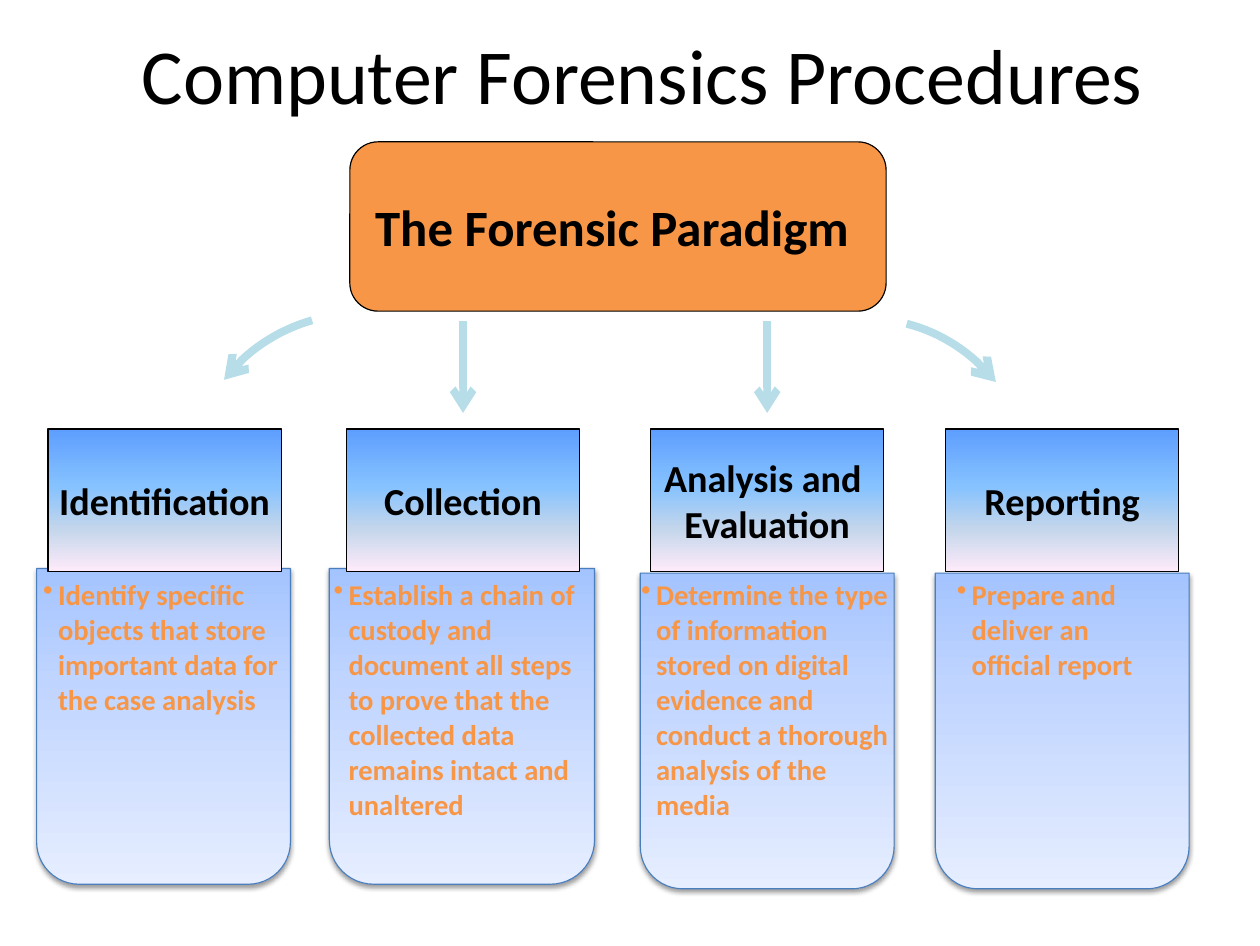
from dataclasses import dataclass

from lxml import etree
from pptx import Presentation
from pptx.dml.color import RGBColor
from pptx.enum.shapes import MSO_CONNECTOR, MSO_SHAPE
from pptx.enum.text import MSO_ANCHOR, MSO_AUTO_SIZE, PP_ALIGN
from pptx.oxml.ns import qn
from pptx.util import Inches, Pt

CENTER, LEFT = PP_ALIGN.CENTER, PP_ALIGN.LEFT
MIDDLE, TOP = MSO_ANCHOR.MIDDLE, MSO_ANCHOR.TOP
RECTANGLE = MSO_SHAPE.RECTANGLE
ROUNDED = MSO_SHAPE.ROUNDED_RECTANGLE
ROUNDED_SAME_SIDE = MSO_SHAPE.ROUND_2_SAME_RECTANGLE
STRAIGHT = MSO_CONNECTOR.STRAIGHT
GROW = MSO_AUTO_SIZE.SHAPE_TO_FIT_TEXT


@dataclass(frozen=True)
class Theme:
    """Font, colours and sizes of the slide."""
    font: str = "Calibri"
    black: str = "000000"
    orange: str = "F79646"
    arrow: str = "B7DEE8"
    panel_line: str = "4B7EBC"
    header_stops: tuple = ((0, "5E9EFF"), (40, "85C2FF"), (70, "C4D6EB"), (100, "FFEBFA"))
    panel_stops: tuple = ((0, "A4C4FF"), (35, "BFD4FF"), (100, "E6EEFF"))
    title_size: float = 49
    paradigm_size: float = 32
    header_size: float = 24
    body_size: float = 18
    body_spacing: float = 22
    outline: float = 0.75
    straight_arrow: float = 4.75
    curved_arrow: float = 5


@dataclass(frozen=True)
class Step:
    """One procedure: header, panel and text, with places in inches."""
    heading: str
    detail: str
    header_left: float
    panel_left: float
    panel_top: float
    panel_width: float
    text_left: float
    text_width: float
    text_height: float


THEME = Theme()
HEADER_TOP, HEADER_WIDTH, HEADER_HEIGHT = 3.75, 2.04, 1.25
PANEL_HEIGHT, TEXT_TOP = 2.76, 4.99
STEPS = (
    Step("Identification",
         "Identify specific objects that store important data for the case analysis",
         0.42, 0.32, 4.97, 2.22, 0.28, 2.33, 1.34),
    Step("Collection",
         "Establish a chain of custody and document all steps to prove that the "
         "collected data remains intact and unaltered ",
         3.03, 2.88, 4.97, 2.32, 2.82, 2.45, 2.26),
    Step("Analysis and \nEvaluation",
         "Determine the type of information stored on digital evidence and conduct "
         "a thorough analysis of the media",
         5.69, 5.6, 5.01, 2.22, 5.51, 2.39, 2.26),
    Step("Reporting", "Prepare and deliver an official report",
         8.27, 8.18, 5.01, 2.22, 8.27, 2.03, 1.03),
)
STRAIGHT_ARROWS = (4.05, 6.71)
CURVED_ARROWS = (
    ((2.73, 2.8), (2.42, 2.89), (2.15, 3.07), (1.96, 3.32)),
    ((7.93, 2.83), (8.24, 2.91), (8.51, 3.09), (8.71, 3.34)),
)


def write_text(shape, text: str, size: float, color: str, bold: bool = True,
               align=CENTER, anchor=MIDDLE, wrap: bool = True) -> None:
    """Set the text of a shape and format its runs."""
    frame = shape.text_frame
    frame.text = text
    frame.word_wrap = wrap
    frame.vertical_anchor = anchor
    for paragraph in frame.paragraphs:
        paragraph.alignment = align
        for run in paragraph.runs:
            run.font.name = THEME.font
            run.font.size = Pt(size)
            run.font.bold = bold
            run.font.color.rgb = RGBColor.from_string(color)


def add_outlined(slide, kind, left: float, top: float, width: float,
                 height: float, line_color: str):
    """Add a preset shape with a thin outline and no shadow."""
    shape = slide.shapes.add_shape(kind, Inches(left), Inches(top),
                                   Inches(width), Inches(height))
    shape.shadow.inherit = False
    shape.line.color.rgb = RGBColor.from_string(line_color)
    shape.line.width = Pt(THEME.outline)
    return shape


def fill_gradient(shape, stops: tuple, angle: float) -> None:
    """Fill a shape with colour stops; the angle runs counter-clockwise."""
    shape.fill.gradient()
    shape.fill.gradient_angle = angle
    stop_list = shape.element.spPr.find(".//" + qn("a:gsLst"))
    for stop in list(stop_list):
        stop_list.remove(stop)
    for position, color in stops:
        stop = etree.SubElement(stop_list, qn("a:gs"), pos=str(position * 1000))
        etree.SubElement(stop, qn("a:srgbClr"), val=color)


def add_soft_shadow(shape) -> None:
    """Cast a soft shadow straight down."""
    effects = shape.element.spPr.find(qn("a:effectLst"))
    shadow = etree.SubElement(effects, qn("a:outerShdw"), blurRad=str(Pt(3.1)),
                              dist=str(Pt(1.6)), dir="5400000", rotWithShape="0")
    color = etree.SubElement(shadow, qn("a:srgbClr"), val=THEME.black)
    etree.SubElement(color, qn("a:alpha"), val="38000")


def style_arrow(shape, width: float) -> None:
    """Colour a line and put an open arrowhead at its end."""
    shape.line.color.rgb = RGBColor.from_string(THEME.arrow)
    shape.line.width = Pt(width)
    properties = shape.element.spPr
    etree.SubElement(properties.find(qn("a:ln")), qn("a:tailEnd"), type="arrow")
    if properties.find(qn("a:effectLst")) is None:
        etree.SubElement(properties, qn("a:effectLst"))


def add_straight_arrow(slide, x: float) -> None:
    """Add an arrow pointing down."""
    connector = slide.shapes.add_connector(STRAIGHT, Inches(x), Inches(2.81),
                                           Inches(x), Inches(3.61))
    style_arrow(connector, THEME.straight_arrow)


def add_curved_arrow(slide, controls: tuple, segments: int = 16) -> None:
    """Add an arrow along a cubic Bezier curve."""
    points = []
    for index in range(segments + 1):
        t = index / segments
        weights = ((1 - t) ** 3, 3 * t * (1 - t) ** 2, 3 * t * t * (1 - t), t ** 3)
        points.append(tuple(Inches(sum(weight * value for weight, value in zip(weights, axis)))
                            for axis in zip(*controls)))
    builder = slide.shapes.build_freeform(*points[0])
    builder.add_line_segments(points[1:], close=False)
    curve = builder.convert_to_shape()
    curve.shadow.inherit = False
    curve.fill.background()
    style_arrow(curve, THEME.curved_arrow)


def add_panel(slide, step: Step) -> None:
    """Add the panel of a step and its bulleted text."""
    panel = add_outlined(slide, ROUNDED_SAME_SIDE, step.panel_left, step.panel_top,
                         step.panel_width, PANEL_HEIGHT, THEME.panel_line)
    panel.rotation = 180
    fill_gradient(panel, THEME.panel_stops, 90)
    add_soft_shadow(panel)
    box = slide.shapes.add_textbox(Inches(step.text_left), Inches(TEXT_TOP),
                                   Inches(step.text_width), Inches(step.text_height))
    write_text(box, step.detail, THEME.body_size, THEME.orange, align=LEFT, anchor=TOP)
    box.text_frame.auto_size = GROW
    paragraph = box.text_frame.paragraphs[0]
    paragraph.line_spacing = Pt(THEME.body_spacing)
    properties = paragraph._p.get_or_add_pPr()
    properties.set("marL", str(Inches(0.13)))
    properties.set("indent", str(Inches(-0.13)))
    etree.SubElement(properties, qn("a:buChar"), char="•")


def add_header(slide, step: Step) -> None:
    """Add the heading block of a step."""
    header = add_outlined(slide, RECTANGLE, step.header_left, HEADER_TOP,
                          HEADER_WIDTH, HEADER_HEIGHT, THEME.black)
    fill_gradient(header, THEME.header_stops, 270)
    write_text(header, step.heading, THEME.header_size, THEME.black, wrap=False)


presentation = Presentation()
presentation.slide_width, presentation.slide_height = Inches(11.02), Inches(8.27)
slide = presentation.slides.add_slide(presentation.slide_layouts[6])

title = slide.shapes.add_textbox(Inches(0.55), Inches(0.33), Inches(10.13), Inches(0.62))
write_text(title, "Computer Forensics Procedures", THEME.title_size, THEME.black, bold=False)

paradigm = add_outlined(slide, ROUNDED, 3.06, 1.24, 4.69, 1.48, THEME.black)
paradigm.fill.solid()
paradigm.fill.fore_color.rgb = RGBColor.from_string(THEME.orange)
write_text(paradigm, "The Forensic Paradigm ", THEME.paradigm_size, THEME.black)

for step in STEPS:
    add_panel(slide, step)
for step in STEPS:
    add_header(slide, step)
for x in STRAIGHT_ARROWS:
    add_straight_arrow(slide, x)
for controls in CURVED_ARROWS:
    add_curved_arrow(slide, controls)

presentation.save("out.pptx")
